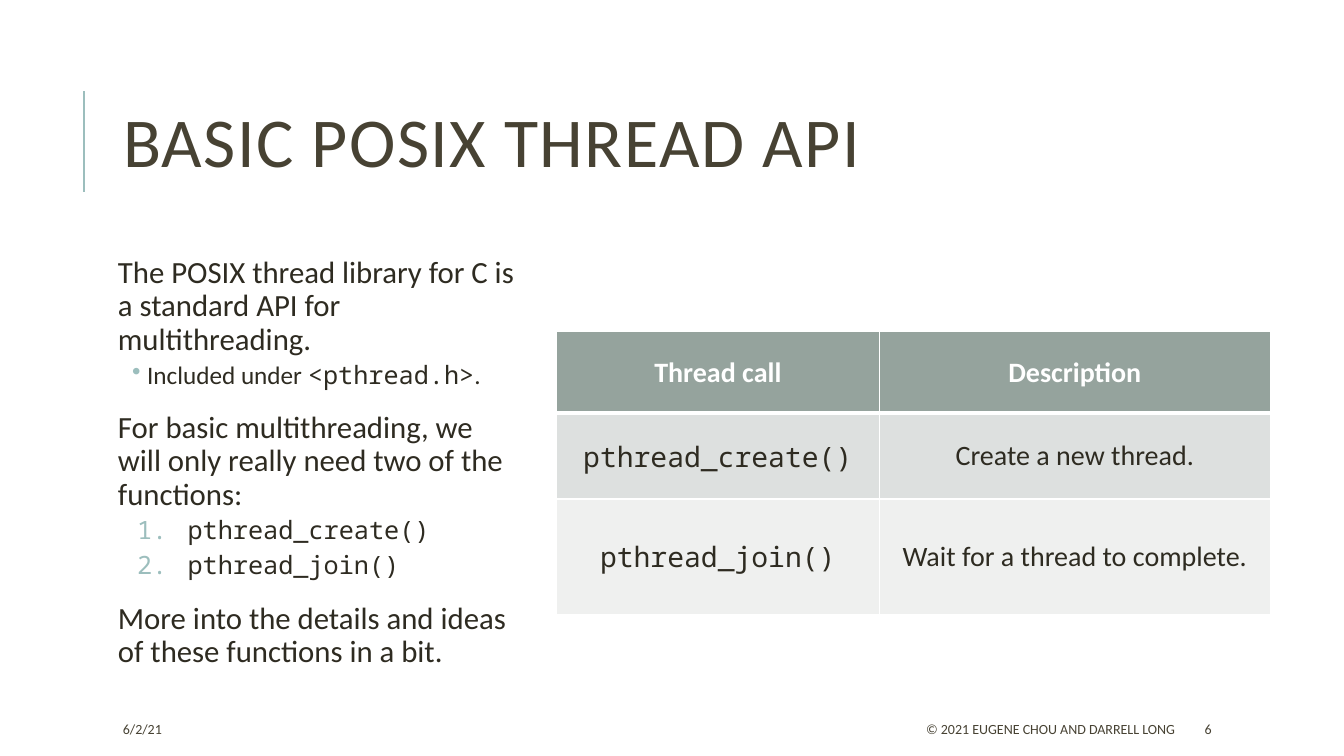
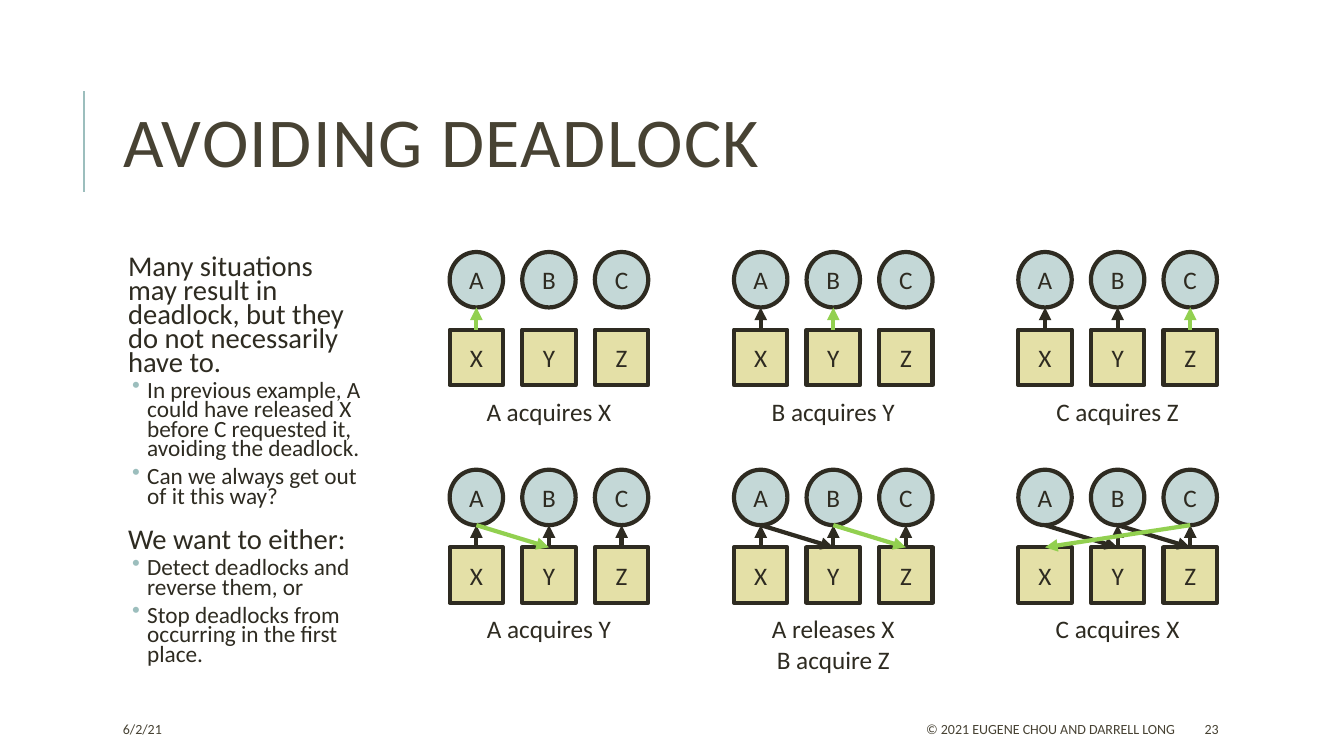
import pptx
import pptx.dml.color
import pptx.enum.shapes
import pptx.enum.text
import pptx.oxml.ns
import pptx.util
from lxml import etree

Inches, Pt = pptx.util.Inches, pptx.util.Pt
qn = pptx.oxml.ns.qn
ALIGN, ANCHOR = pptx.enum.text.PP_ALIGN, pptx.enum.text.MSO_ANCHOR
SHAPE, STRAIGHT = pptx.enum.shapes.MSO_SHAPE, pptx.enum.shapes.MSO_CONNECTOR.STRAIGHT

# Shared look
SANS, MONO = "Calibri", "Noto Sans Mono"
INK, BROWN, TEAL, GREEN, WHITE = "2E2B21", "474233", "9CBEBD", "92D050", "FFFFFF"
PALE_TEAL, PALE_YELLOW = "C4D8D7", "E4E0A7"


def rgb(value):
    return pptx.dml.color.RGBColor.from_string(value)


def add_text(tf, text, size=18, color=INK, bold=False, align=ALIGN.LEFT, anchor=ANCHOR.TOP,
             line=1.0, before=0, after=0, margin=0, hanging=0, bullet="", spacing=0):
    """Add one paragraph; parts between backticks are set in the code font."""
    tf.word_wrap = True
    tf.vertical_anchor = anchor
    first = not tf.paragraphs[0].runs
    p = tf.paragraphs[0] if first else tf.add_paragraph()
    pPr = p._p.get_or_add_pPr()
    pPr.set("marL", str(Inches(margin)))
    pPr.set("indent", str(-Inches(hanging)))
    if bullet:
        clr = etree.SubElement(pPr, qn("a:buClr"))
        etree.SubElement(clr, qn("a:srgbClr"), val=TEAL)
        if bullet == "1.":
            etree.SubElement(pPr, qn("a:buAutoNum"), type="arabicPeriod")
        else:
            etree.SubElement(pPr, qn("a:buChar"), char=bullet)
    else:
        etree.SubElement(pPr, qn("a:buNone"))
    p.alignment = align
    p.line_spacing = line
    p.space_before = Pt(0 if first else before)
    p.space_after = Pt(after)
    for i, part in enumerate(text.split("`")):
        if part:
            r = p.add_run()
            r.text = part
            r.font.name = MONO if i % 2 else SANS
            r.font.size = Pt(size)
            r.font.bold = bold
            r.font.color.rgb = rgb(color)
            if spacing:
                r._r.get_or_add_rPr().set("spc", str(spacing * 100))


prs = pptx.Presentation()
prs.slide_width, prs.slide_height = Inches(13.33), Inches(7.5)

# Title, number, body width, main and sub size, line spacing, main margin, paragraphs
pages = [
    ("BASIC POSIX THREAD API", "6", 4.04, 22, 18, 0.9, 0, [
        ("", "The POSIX thread library for C is a standard API for multithreading."),
        ("•", "Included under `<pthread.h>`."),
        ("", "For basic multithreading, we will only really need two of the functions:"),
        ("1.", "`pthread_create()`"),
        ("1.", "`pthread_join()`"),
        ("", "More into the details and ideas of these functions in a bit."),
    ]),
    ("AVOIDING DEADLOCK", "23", 2.52, 20.4, 16.6, 0.7, 0.1, [
        ("", "Many situations may result in deadlock, but they do not necessarily have to."),
        ("•", "In previous example, A could have released X before C requested it, "
              "avoiding the deadlock."),
        ("•", "Can we always get out of it this way?"),
        ("", "We want to either:"),
        ("•", "Detect deadlocks and reverse them, or"),
        ("•", "Stop deadlocks from occurring in the first place."),
    ]),
]
indents = {"•": (0.29, 0.15), "1.": (0.69, 0.5)}

for title, number, width, main_size, sub_size, line, main_margin, paragraphs in pages:
    s = prs.slides.add_slide(prs.slide_layouts[5])

    # Title and the rule beside it
    sp = s.shapes.title
    sp.left, sp.top, sp.width, sp.height = Inches(1.12), Inches(0.64), Inches(10.63), Inches(1.64)
    sp.text_frame.auto_size = pptx.enum.text.MSO_AUTO_SIZE.NONE
    add_text(sp.text_frame, title, size=50, color=BROWN, anchor=ANCHOR.MIDDLE,
             line=0.8, spacing=1)
    rule = s.shapes.add_connector(STRAIGHT, Inches(0.83), Inches(1.9), Inches(0.83), Inches(0.9))
    rule.line.color.rgb = rgb(TEAL)
    rule.line.width = Pt(1.5)
    etree.SubElement(rule._element.spPr, qn("a:effectLst"))

    # Body text
    sp = s.shapes.add_textbox(Inches(1.12), Inches(2.5), Inches(width), Inches(4.4))
    tf = sp.text_frame
    tf.margin_left = tf.margin_right = tf.margin_top = tf.margin_bottom = Inches(0.05)
    for bullet, text in paragraphs:
        if bullet:
            margin, hanging = indents[bullet]
            add_text(tf, text, size=sub_size, line=line, before=2, after=4,
                     margin=margin, hanging=hanging, bullet=bullet)
        else:
            add_text(tf, text, size=main_size, line=line, before=12, after=2,
                     margin=main_margin)

    # Footer
    for left, box_width, text, align in [
        (1.12, 2.36, "6/2/21", ALIGN.LEFT),
        (5.3, 6.45, "© 2021 EUGENE CHOU AND DARRELL LONG", ALIGN.RIGHT),
        (11.85, 1.06, number, ALIGN.LEFT),
    ]:
        sp = s.shapes.add_textbox(Inches(left), Inches(7.08), Inches(box_width), Inches(0.3))
        add_text(sp.text_frame, text, size=10, color=BROWN, align=align, anchor=ANCHOR.MIDDLE)

thread_slide, deadlock_slide = prs.slides

# Table of thread calls
calls = [
    (0.81, "95A39D", "Thread call", "Description"),
    (0.85, "DDE0DF", "`pthread_create()`", "Create a new thread."),
    (1.15, "EFF0EF", "`pthread_join()`", "Wait for a thread to complete."),
]
table = thread_slide.shapes.add_table(3, 2, Inches(5.52), Inches(3.29),
                                      Inches(7.08), Inches(2.81)).table
table.columns[0].width, table.columns[1].width = Inches(3.2), Inches(3.88)
for row, (height, fill, *texts) in enumerate(calls):
    table.rows[row].height = Inches(height)
    for col, text in enumerate(texts):
        cell = table.cell(row, col)
        tcPr = cell._tc.get_or_add_tcPr()
        for side in ("lnL", "lnR", "lnT", "lnB"):
            under_header = (row, side) in [(0, "lnB"), (1, "lnT")]
            ln = etree.SubElement(tcPr, qn("a:" + side), w=str(Pt(3 if under_header else 1)))
            solid = etree.SubElement(ln, qn("a:solidFill"))
            etree.SubElement(solid, qn("a:srgbClr"), val=WHITE)
        cell.fill.solid()
        cell.fill.fore_color.rgb = rgb(fill)
        cell.vertical_anchor = ANCHOR.MIDDLE
        add_text(cell.text_frame, text, size=20, color=INK if row else WHITE,
                 bold=row == 0, align=ALIGN.CENTER, anchor=ANCHOR.MIDDLE)

# Deadlock panels: caption lines, then arrows from one node to another, the newest last
panels = [
    (["A acquires X"], ["XA"]),
    (["B acquires Y"], ["XA", "YB"]),
    (["C acquires Z"], ["XA", "YB", "ZC"]),
    (["A acquires Y"], ["XA", "YB", "ZC", "AY"]),
    (["A releases X", "B acquire Z"], ["XA", "YB", "ZC", "AY", "BZ"]),
    (["C acquires X"], ["YB", "ZC", "AY", "BZ", "CX"]),
]
NODE_W, NODE_H, STEP, DROP = 0.53, 0.55, 0.72, 0.77
for n, (captions, arrows) in enumerate(panels):
    left, top = 4.46 + 2.82 * (n % 3), 2.5 + 2.16 * (n // 3)

    # Threads above, resources below
    nodes = {}
    for names, shape, fill, y in [("ABC", SHAPE.OVAL, PALE_TEAL, top),
                                  ("XYZ", SHAPE.RECTANGLE, PALE_YELLOW, top + DROP)]:
        for i, name in enumerate(names):
            sp = deadlock_slide.shapes.add_shape(shape, Inches(left + i * STEP), Inches(y),
                                                 Inches(NODE_W), Inches(NODE_H))
            sp.shadow.inherit = False
            sp.fill.solid()
            sp.fill.fore_color.rgb = rgb(fill)
            sp.line.color.rgb = rgb(INK)
            sp.line.width = Pt(3)
            add_text(sp.text_frame, name, align=ALIGN.CENTER, anchor=ANCHOR.MIDDLE)
            nodes[name] = sp

    # Arrows between the bottom of a circle and the top of a box
    for arrow in arrows:
        ends = []
        for name in arrow:
            sp = nodes[name]
            ends += [sp.left + sp.width // 2, sp.top + (sp.height if name in "ABC" else 0)]
        cx = deadlock_slide.shapes.add_connector(STRAIGHT, *ends)
        if arrow[0] in "XYZ":
            cx.begin_connect(nodes[arrow[0]], 0)
        else:
            cx.end_connect(nodes[arrow[1]], 0)
        cx.line.color.rgb = rgb(GREEN if arrow == arrows[-1] else INK)
        cx.line.width = Pt(3)
        etree.SubElement(cx.line._get_or_add_ln(), qn("a:tailEnd"), type="triangle")
        etree.SubElement(cx._element.spPr, qn("a:effectLst"))

    # Caption
    sp = deadlock_slide.shapes.add_textbox(Inches(left), Inches(top + 1.38),
                                           Inches(2 * STEP + NODE_W),
                                           Inches(0.1 + 0.3 * len(captions)))
    for caption in captions:
        add_text(sp.text_frame, caption, align=ALIGN.CENTER)

prs.save("out.pptx")
